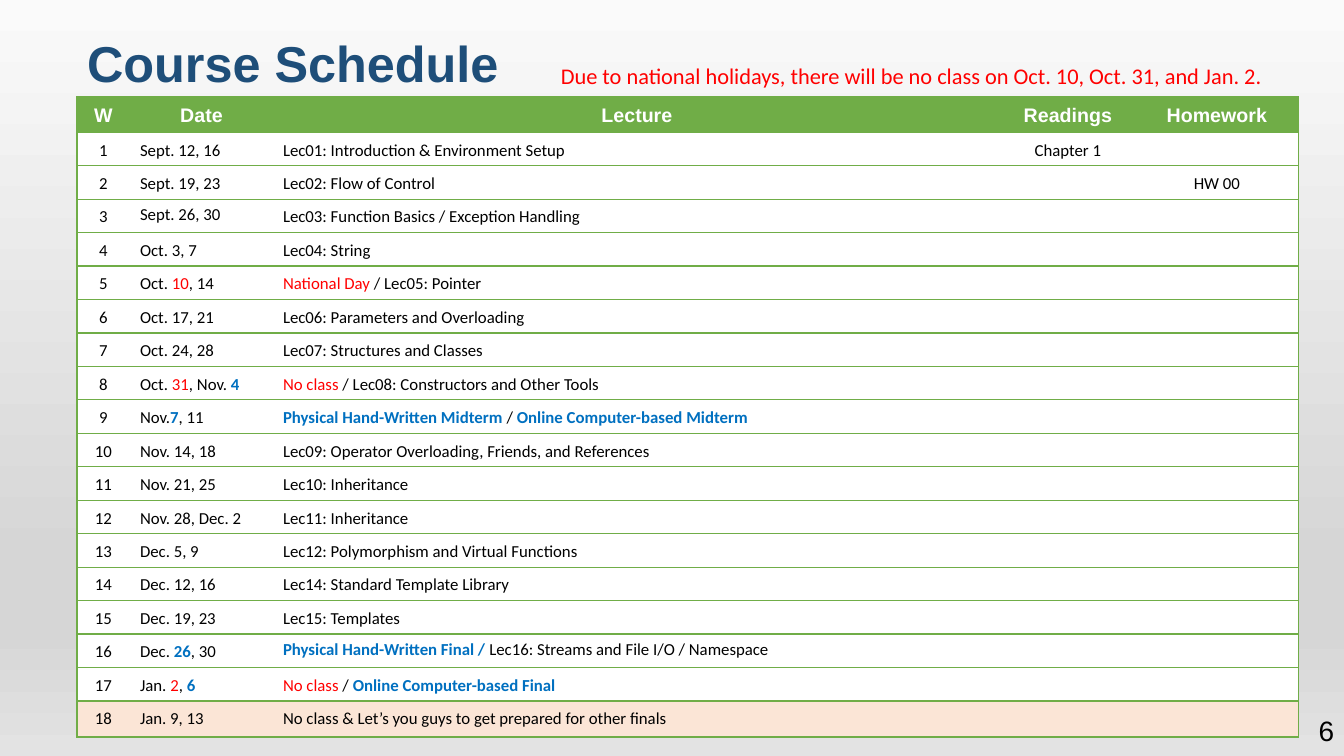
from lxml import etree
from pptx import Presentation
from pptx.dml.color import RGBColor
from pptx.enum.text import MSO_ANCHOR as ANCHOR, MSO_AUTO_SIZE as AUTO, PP_ALIGN as ALIGN
from pptx.oxml.ns import qn
from pptx.util import Pt

PX = 12192000 / 1344
GREEN, WHITE, PEACH = "70AD47", "FFFFFF", "FBE5D6"
BLACK, RED, BLUE, NAVY = "000000", "FF0000", "0070C0", "1E4E79"
NO_STYLE = "{2D5ABB26-0587-4C30-8999-92F81FD0307C}"
BACKDROP = [(0, "FAFAFA"), (74, "D6D6D6"), (83, "D6D6D6"), (100, "E3E3E3")]

HEADER = ["W", "Date", "Lecture", "Readings", "Homework"]
COLUMN_WIDTHS = [53, 143, 728, 134, 164]
CENTRED_COLUMNS = {0, 3, 4}
SINGLE_SPACED = {(3, 1), (16, 2)}
READINGS = {1: "Chapter 1"}
HOMEWORK = {2: "HW 00"}


def off(text):
    """A run about a day without class."""
    return text, {"color": RED}


def exam(text):
    """A run about an exam."""
    return text, {"color": BLUE, "bold": True}


WEEKS = [
    ("Sept. 12, 16", "Lec01: Introduction & Environment Setup"),
    ("Sept. 19, 23", "Lec02: Flow of Control"),
    ("Sept. 26, 30", "Lec03: Function Basics / Exception Handling"),
    ("Oct. 3, 7", "Lec04: String"),
    (["Oct. ", off("10"), ", 14"], [off("National Day"), " / Lec05: Pointer"]),
    ("Oct. 17, 21", "Lec06: Parameters and Overloading"),
    ("Oct. 24, 28", "Lec07: Structures and Classes"),
    (["Oct.", off(" 31"), ", Nov.", exam(" 4")],
     [off("No class "), "/ Lec08: Constructors and Other Tools"]),
    (["Nov.", exam("7"), ", 11"],
     [exam("Physical Hand-Written Midterm"), " / ", exam("Online Computer-based Midterm")]),
    ("Nov. 14, 18", "Lec09: Operator Overloading, Friends, and References"),
    ("Nov. 21, 25", "Lec10: Inheritance"),
    ("Nov. 28, Dec. 2", "Lec11: Inheritance"),
    ("Dec. 5, 9", "Lec12: Polymorphism and Virtual Functions"),
    ("Dec. 12, 16", "Lec14: Standard Template Library"),
    ("Dec. 19, 23", "Lec15: Templates"),
    (["Dec. ", exam("26"), ", 30"],
     [exam("Physical Hand-Written Final / "), "Lec16: Streams and File I/O / Namespace"]),
    (["Jan. ", off("2"), ", ", exam("6")],
     [off("No class "), "/ ", exam("Online Computer-based Final")]),
    ("Jan. 9, 13", "No class & Let’s you guys to get prepared for other finals"),
]


def px(n):
    return round(n * PX)


def rgb(color):
    return RGBColor.from_string(color)


def write(tf, text, size=12, font="Calibri", color=BLACK, bold=False,
          align=ALIGN.LEFT, spacing=1.0):
    """Fill a text frame with a string or a list of strings and (string, format) runs."""
    p = tf.paragraphs[0]
    p.alignment, p.line_spacing = align, spacing
    if not text:
        etree.SubElement(p._p, qn("a:endParaRPr"), sz=str(size * 100))
        return
    for part in [text] if isinstance(text, str) else text:
        words, extra = (part, {}) if isinstance(part, str) else part
        r = p.add_run()
        r.text = words
        r.font.size, r.font.name = Pt(size), font
        r.font.bold = extra.get("bold", bold)
        r.font.color.rgb = rgb(extra.get("color", color))


def place(sp, x, y, w, h):
    sp.left, sp.top, sp.width, sp.height = px(x), px(y), px(w), px(h)


def add_backdrop(s):
    fill = s.background.fill
    fill.gradient()
    fill.gradient_angle = 270
    stops = s._element.find(".//" + qn("a:gsLst"))
    for stop in list(stops):
        stops.remove(stop)
    for position, color in BACKDROP:
        stop = etree.SubElement(stops, qn("a:gs"), pos=str(position * 1000))
        etree.SubElement(stop, qn("a:srgbClr"), val=color)


def add_title(s, x, y, w, h):
    sp = s.shapes.title
    place(sp, x, y, w, h)
    tf = sp.text_frame
    tf.auto_size, tf.vertical_anchor = AUTO.NONE, ANCHOR.BOTTOM
    write(tf, "Course Schedule", size=36, font="Arial", color=NAVY, bold=True, spacing=0.9)


def add_text(s, text, x, y, w, h, anchor=ANCHOR.TOP, **style):
    tf = s.shapes.add_textbox(px(x), px(y), px(w), px(h)).text_frame
    tf.word_wrap, tf.vertical_anchor = True, anchor
    write(tf, text, **style)


def set_borders(cell, sides):
    """Draw green lines on the given sides and none on the others."""
    tcPr = cell._tc.get_or_add_tcPr()
    for side in "LRTB":
        ln = etree.SubElement(tcPr, qn("a:ln" + side), w=str(Pt(1)))
        if side in sides:
            fill = etree.SubElement(ln, qn("a:solidFill"))
            etree.SubElement(fill, qn("a:srgbClr"), val=GREEN)
        else:
            etree.SubElement(ln, qn("a:noFill"))


def add_schedule(s, x, y, w, h):
    rows = [HEADER] + [
        [str(n), date, lecture, READINGS.get(n, ""), HOMEWORK.get(n, "")]
        for n, (date, lecture) in enumerate(WEEKS, 1)]
    last_row, last_col = len(rows) - 1, len(HEADER) - 1
    frame = s.shapes.add_table(len(rows), len(HEADER), px(x), px(y), px(w), px(h))
    table = frame.table
    table.horz_banding = False
    table._tbl.tblPr.find(qn("a:tableStyleId")).text = NO_STYLE
    for column, width in zip(table.columns, COLUMN_WIDTHS):
        column.width = px(width)
    for i, row in enumerate(rows):
        table.rows[i].height = px(36 if i == last_row else 31)
        for j, text in enumerate(row):
            cell = table.cell(i, j)
            set_borders(cell, "TB" + "L" * (j == 0) + "R" * (j == last_col))
            cell.fill.solid()
            cell.fill.fore_color.rgb = rgb({0: GREEN, last_row: PEACH}.get(i, WHITE))
            header = dict(size=14, font="Arial", color=WHITE, bold=True) if i == 0 else {}
            centred = i == 0 or j in CENTRED_COLUMNS
            write(cell.text_frame, text, align=ALIGN.CENTER if centred else ALIGN.LEFT,
                  spacing=1.0 if (i, j) in SINGLE_SPACED else 1.14, **header)


def main():
    prs = Presentation()
    prs.slide_width, prs.slide_height = px(1344), px(756)
    s = prs.slides.add_slide(prs.slide_layouts[5])
    add_backdrop(s)
    add_title(s, 77, 21, 1140, 78)
    add_schedule(s, 77, 97, sum(COLUMN_WIDTHS), 613)
    add_text(s, "6", 1218, 720, 126, 20, anchor=ANCHOR.MIDDLE,
             size=20, font="Arial", align=ALIGN.RIGHT)
    add_text(s, "Due to national holidays, there will be no class on Oct. 10, Oct. 31, and Jan. 2.",
             551, 60, 755, 34, size=16, color=RED, spacing=0.9)
    prs.save("out.pptx")


if __name__ == "__main__":
    main()
